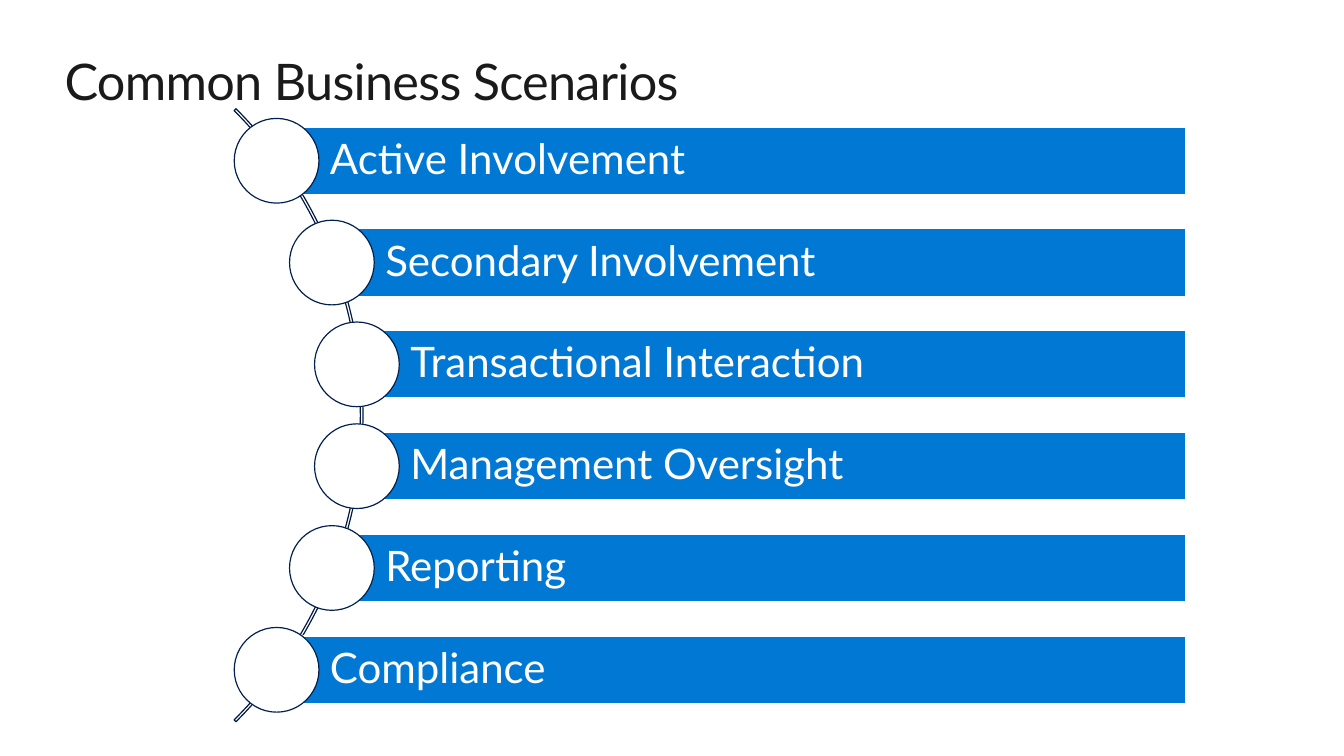
from math import sqrt

from pptx import Presentation
from pptx.dml.color import RGBColor
from pptx.enum.shapes import MSO_SHAPE
from pptx.enum.text import MSO_ANCHOR, MSO_AUTO_SIZE, PP_ALIGN
from pptx.util import Inches, Pt

ARC, BAR, DOT = MSO_SHAPE.BLOCK_ARC, MSO_SHAPE.RECTANGLE, MSO_SHAPE.OVAL
TOP, MIDDLE = MSO_ANCHOR.TOP, MSO_ANCHOR.MIDDLE
LEFT = PP_ALIGN.LEFT
GROW = MSO_AUTO_SIZE.SHAPE_TO_FIT_TEXT

FONT = "Lato"
BLUE, WHITE, NAVY, RING, INK = "0078D4", "FFFFFF", "001A40", "002050", "1A1A1A"
CASES = [
    "Active Involvement",
    "Secondary Involvement",
    "Transactional Interaction",
    "Management Oversight",
    "Reporting",
    "Compliance",
]


def color(code):
    return RGBColor.from_string(code)


def write(frame, text, size, code, pads, anchor):
    frame.margin_left, frame.margin_top, frame.margin_right, frame.margin_bottom = (
        Inches(pad) for pad in pads
    )
    frame.vertical_anchor = anchor
    line = frame.paragraphs[0]
    line.alignment = LEFT
    line.line_spacing = 0.9 if anchor == MIDDLE else 1.0
    run = line.add_run()
    run.text = text
    run.font.name = FONT
    run.font.size = Pt(size)
    run.font.color.rgb = color(code)
    return run


def draw(slide, kind, box, fill, edge):
    shape = slide.shapes.add_shape(kind, *(Inches(side) for side in box))
    shape.shadow.inherit = False
    if fill:
        shape.fill.solid()
        shape.fill.fore_color.rgb = color(fill)
    else:
        shape.fill.background()
    shape.line.color.rgb = color(edge)
    shape.line.width = Pt(0.85)
    return shape


def head(slide, box, text):
    title = slide.shapes.title
    title.left, title.top, title.width, title.height = (Inches(side) for side in box)
    run = write(title.text_frame, text, 36, INK, (0, 0, 0, 0), TOP)
    title.text_frame.auto_size = GROW
    run.font._element.set("spc", "-50")


def curve(slide, box, cases):
    left, top, width, height = box
    right, mid = left + width, top + height / 2
    hub, ring, reach = left - 0.7, 8.6, 4.27
    step, tall, dot = 1.01, 0.67, 0.84

    arc = draw(slide, ARC, (hub - ring / 2, mid - ring / 2, ring, ring), None, NAVY)
    for index, value in enumerate((189, 27, 0.003)):
        arc.adjustments[index] = value

    for index, case in enumerate(cases):
        drop = (index - (len(cases) - 1) / 2) * step
        x, y = hub + sqrt(reach**2 - drop**2), mid + drop
        bar = draw(slide, BAR, (x, y - tall / 2, right - x, tall), BLUE, WHITE)
        write(bar.text_frame, case, 30, WHITE, (0.53, 0.08, 0.08, 0.08), MIDDLE)
        draw(slide, DOT, (x - dot / 2, y - dot / 2, dot, dot), WHITE, RING)


def main():
    deck = Presentation()
    deck.slide_width, deck.slide_height = Inches(13.33), Inches(7.5)
    slide = deck.slides.add_slide(deck.slide_layouts[5])
    head(slide, (0.64, 0.5, 12.05, 0.61), "Common Business Scenarios")
    curve(slide, (0, 1.07, 11.76, 6.1), CASES)
    deck.save("out.pptx")


if __name__ == "__main__":
    main()
